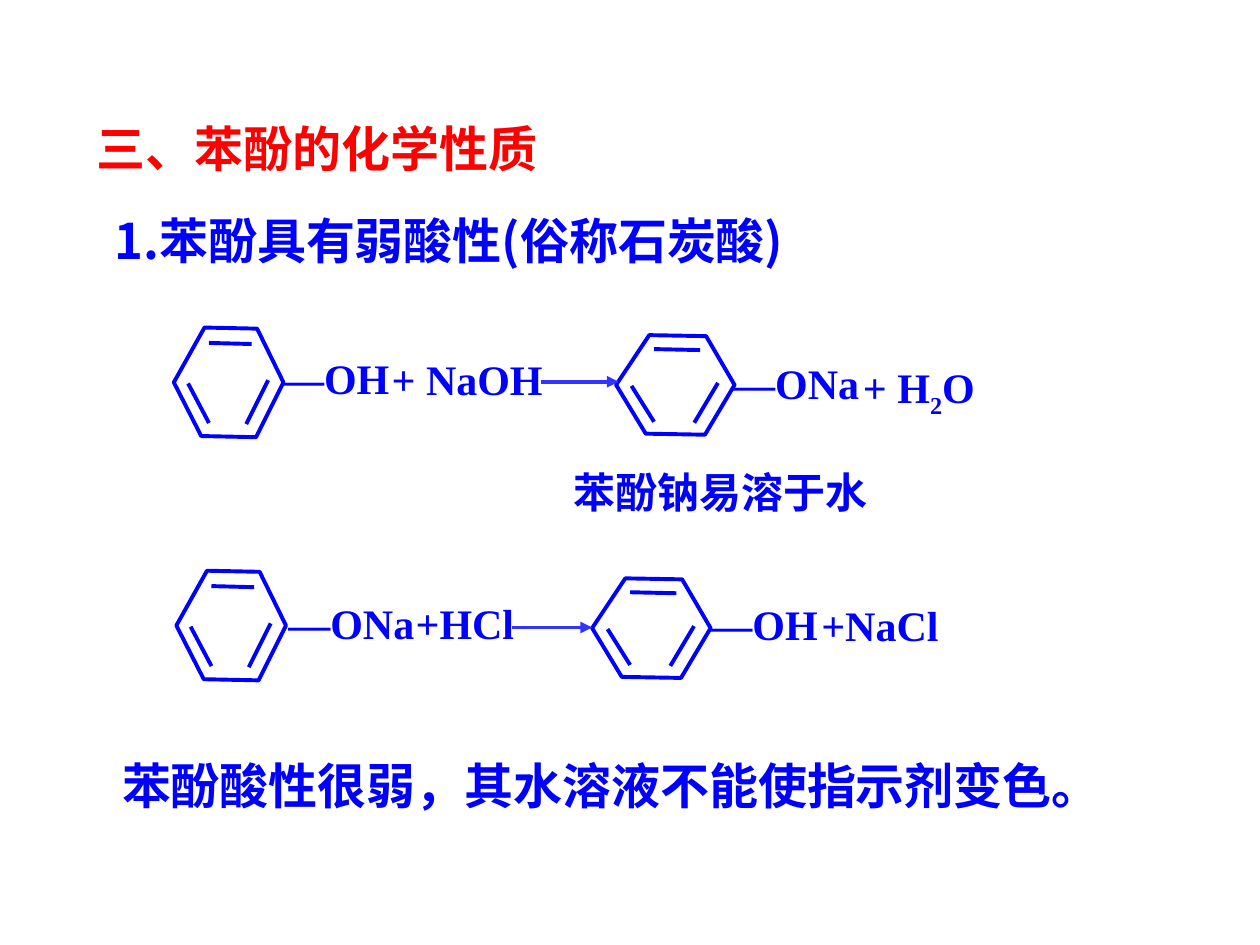
from typing import NamedTuple

from lxml.etree import SubElement
from pptx import Presentation
from pptx.dml.color import RGBColor
from pptx.enum.shapes import MSO_CONNECTOR
from pptx.oxml.ns import qn
from pptx.util import Inches, Pt

SANS = "Noto Sans CJK SC"
SERIF = "Times New Roman"
BLUE, RED, VIOLET = "0000FF", "FF0000", "3333FF"

# Benzene ring in a unit square: outline and inner double bonds
RIM = [(0.28, 0), (0.76, 0.01), (1, 0.5), (0.75, 1), (0.25, 0.99), (0, 0.5)]
BONDS = [(0.32, 0.14, 0.71, 0.15), (0.13, 0.51, 0.32, 0.87),
         (0.66, 0.88, 0.86, 0.48)]


class Label(NamedTuple):
    text: str
    x: float
    y: float
    w: float
    h: float = 0.5
    size: int = 24
    font: str = SERIF
    color: str = BLUE
    space: float = 1.0
    wrap: bool = True
    sub: str = ""
    rest: str = ""


class Ring(NamedTuple):
    x: float
    y: float
    w: float
    h: float


class Arrow(NamedTuple):
    x: float
    y: float
    end: float


HEADS = [
    Label("三、苯酚的化学性质", 0.67, 0.66, 8.68, 0.8, 28, SANS, RED, 1.5),
    Label("1.苯酚具有弱酸性(俗称石炭酸)", 0.81, 1.39, 6.28, 0.8, 28, SANS,
          space=1.5),
    Label("苯酚钠易溶于水", 4.45, 3.65, 2.64),
    Label("苯酚酸性很弱，其水溶液不能使指示剂变色。", 0.87, 5.95, 8.12, 0.57,
          28, SANS),
]
TERMS = [
    # Phenol with sodium hydroxide
    Label("—OH", 2.14, 2.75, 1.35),
    Label("+ NaOH", 3.01, 2.76, 1.4, wrap=False),
    Label("—ONa", 5.72, 2.79, 1.49),
    Label("+ H", 6.75, 2.82, 2.15, 0.56, sub="2", rest="O"),
    # Sodium phenoxide with hydrochloric acid
    Label("—ONa", 2.19, 4.69, 1.35),
    Label("+HCl", 3.2, 4.69, 0.98, wrap=False),
    Label("—OH", 5.54, 4.7, 1.49),
    Label("+NaCl", 6.42, 4.71, 2.15),
]
RINGS = [Ring(1.38, 2.6, 0.87, 0.87), Ring(4.89, 2.66, 0.94, 0.79),
         Ring(1.4, 4.53, 0.87, 0.87), Ring(4.7, 4.59, 0.94, 0.79)]
ARROWS = [Arrow(4.29, 3.03, 4.91), Arrow(4.06, 4.98, 4.7)]


def paint(form, color: str) -> None:
    form.rgb = RGBColor.from_string(color)


def add_run(para, text: str, label: Label):
    run = para.add_run()
    run.text = text
    run.font.size = Pt(label.size)
    run.font.bold = True
    run.font.name = label.font
    paint(run.font.color, label.color)
    if label.font == SANS:
        SubElement(run.font._element, qn("a:ea"), typeface=SANS)
    return run


def add_label(slide, label: Label) -> None:
    box = slide.shapes.add_textbox(Inches(label.x), Inches(label.y),
                                   Inches(label.w), Inches(label.h))
    box.text_frame.word_wrap = label.wrap
    para = box.text_frame.paragraphs[0]
    para.line_spacing = label.space
    add_run(para, label.text, label)
    if label.sub:
        low = add_run(para, label.sub, label)
        low.font._element.set("baseline", "-25000")
        add_run(para, label.rest, label)


def add_line(slide, x: float, y: float, x2: float, y2: float,
             color: str = BLUE):
    line = slide.shapes.add_connector(MSO_CONNECTOR.STRAIGHT, Inches(x),
                                      Inches(y), Inches(x2), Inches(y2))
    line.line.width = Pt(2.25)
    paint(line.line.color, color)
    SubElement(line._element.spPr, qn("a:effectLst"))
    return line


def add_arrow(slide, arrow: Arrow) -> None:
    line = add_line(slide, arrow.x, arrow.y, arrow.end, arrow.y, VIOLET)
    SubElement(line.line._get_or_add_ln(), qn("a:tailEnd"), type="triangle")


def add_ring(slide, ring: Ring) -> None:
    def place(x: float, y: float) -> tuple[float, float]:
        return ring.x + x * ring.w, ring.y + y * ring.h

    for x, y, x2, y2 in BONDS:
        add_line(slide, *place(x, y), *place(x2, y2))
    spots = [tuple(Inches(v) for v in place(x, y)) for x, y in RIM]
    form = slide.shapes.build_freeform(*spots[0])
    form.add_line_segments(spots[1:], close=True)
    rim = form.convert_to_shape()
    rim.shadow.inherit = False
    rim.fill.background()
    rim.line.width = Pt(2.25)
    paint(rim.line.color, BLUE)
    SubElement(rim.line._get_or_add_ln(), qn("a:round"))


def main() -> None:
    deck = Presentation()
    deck.slide_width, deck.slide_height = Inches(10), Inches(7.5)
    slide = deck.slides.add_slide(deck.slide_layouts[6])
    # Headings, remark and conclusion, then the two equations
    for label in HEADS + TERMS:
        add_label(slide, label)
    for ring in RINGS:
        add_ring(slide, ring)
    for arrow in ARROWS:
        add_arrow(slide, arrow)
    deck.save("out.pptx")


if __name__ == "__main__":
    main()
